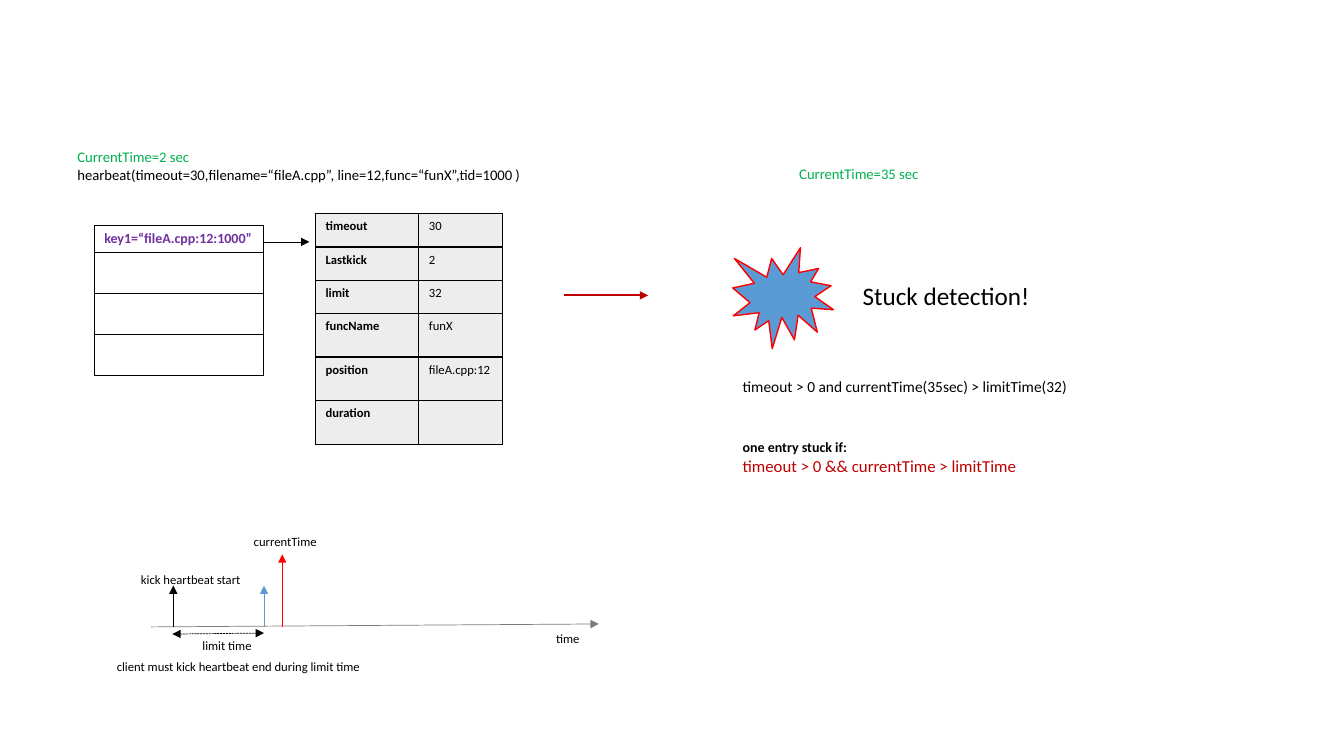
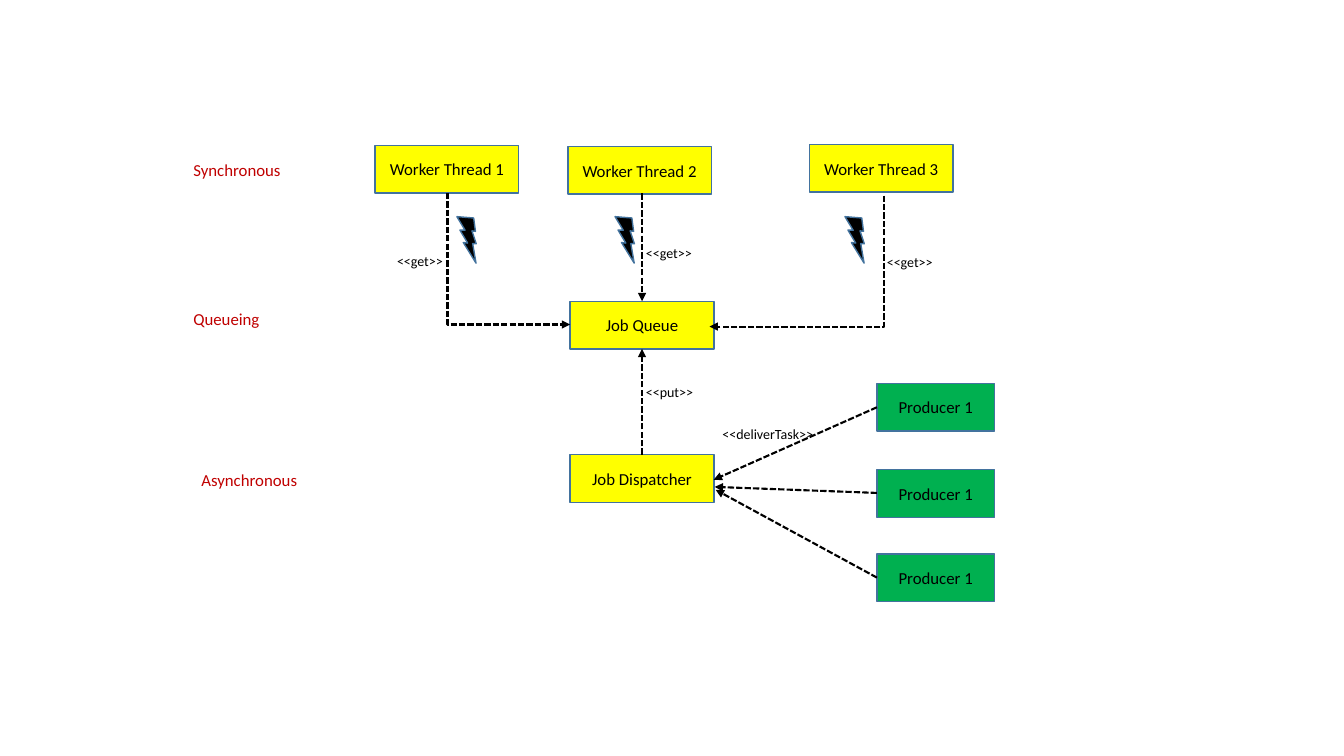
from pptx import Presentation
from pptx.dml.color import RGBColor
from pptx.enum.dml import MSO_LINE
from pptx.enum.shapes import MSO_CONNECTOR, MSO_SHAPE
from pptx.enum.text import MSO_ANCHOR, PP_ALIGN
from pptx.oxml import parse_xml
from pptx.oxml.ns import nsdecls, qn
from pptx.util import Pt

DASH = MSO_LINE.SQUARE_DOT
STRAIGHT, ELBOW = MSO_CONNECTOR.STRAIGHT, MSO_CONNECTOR.ELBOW
RECT, STAR, BOLT = MSO_SHAPE.RECTANGLE, MSO_SHAPE.EXPLOSION1, MSO_SHAPE.LIGHTNING_BOLT
MIDDLE, CENTER = MSO_ANCHOR.MIDDLE, PP_ALIGN.CENTER
BLACK, WHITE, GREY = "000000", "FFFFFF", "E7E6E6"
RED, DARK, BLUE, EDGE = "FF0000", "C00000", "5B9BD5", "43739E"
YELLOW, GREEN, PURPLE, AXIS = "FFFF00", "00B050", "7030A0", "7C7C7C"
BASE = {"name": "Calibri", "bold": False}
hue = RGBColor.from_string


def write(frame, *lines):
    """Each line is (text, size, colour) and optionally a dict of font values."""
    for num, (text, size, color, *more) in enumerate(lines):
        para = frame.add_paragraph() if num else frame.paragraphs[0]
        run = para.add_run()
        run.text = text
        form = {**BASE, "size": Pt(size), **(more[0] if more else {})}
        for key, value in form.items():
            setattr(run.font, key, value)
        run.font.color.rgb = hue(color)


def link(slide, ends, color=BLACK, width=0.5, kind=STRAIGHT, dash=None, both=False):
    """Draw an arrow; an elbow leaves its start vertically."""
    arrow = slide.shapes.add_connector(kind, *map(Pt, ends))
    arrow.line.color.rgb = hue(color)
    arrow.line.width = Pt(width)
    arrow.line.dash_style = dash
    props = arrow.element.spPr
    edge = props.find(qn("a:ln"))
    for tag in ("headEnd", "tailEnd") if both else ("tailEnd",):
        edge.append(parse_xml(f'<a:{tag} {nsdecls("a")} type="triangle"/>'))
    props.append(parse_xml(f'<a:effectLst {nsdecls("a")}/>'))
    if kind == ELBOW:
        bend = f'<a:avLst {nsdecls("a")}><a:gd name="adj1" fmla="val 0"/></a:avLst>'
        shape = props.find(qn("a:prstGeom"))
        for old in shape.findall(qn("a:avLst")):
            shape.remove(old)
        shape.append(parse_xml(bend))


deck = Presentation()
deck.slide_width, deck.slide_height = Pt(960), Pt(540)
blank = deck.slide_layouts[6]
beat = deck.slides.add_slide(blank)
jobs = deck.slides.add_slide(blank)

# Heartbeat tables: place, column widths, row heights, fill, opacity, size, colour, rows
keys = [["key1=“fileA.cpp:12:1000”"], [""], [""], [""]]
entry = [["timeout", "30"], ["Lastkick", "2"], ["limit", "32"],
         ["funcName", "funX"], ["position", "fileA.cpp:12"], ["duration", ""]]
tables = [
    ((67.3, 161), [121], [18.7] + [27.4] * 3, WHITE, 100, 10, PURPLE, keys),
    ((225.4, 152.8), [73.8, 59.8], [23.7] * 3 + [31.2] * 3, GREY, 71, 9, BLACK, entry),
]
for place, wide, high, fill, alpha, size, color, rows in tables:
    area = map(Pt, (*place, sum(wide), sum(high)))
    table = beat.shapes.add_table(len(high), len(wide), *area).table
    table.first_row = table.horz_banding = False
    for col, width in zip(table.columns, wide):
        col.width = Pt(width)
    for row, height, texts in zip(table.rows, high, rows):
        row.height = Pt(height)
        for num, (cell, text) in enumerate(zip(row.cells, texts)):
            props = cell._tc.get_or_add_tcPr()
            for side in "LRTB":
                props.append(parse_xml(
                    f'<a:ln{side} {nsdecls("a")} w="{Pt(1)}"><a:solidFill>'
                    f'<a:srgbClr val="{BLACK}"/></a:solidFill></a:ln{side}>'))
            cell.fill.solid()
            cell.fill.fore_color.rgb = hue(fill)
            tint = props.find(qn("a:solidFill"))[0]
            tint.append(parse_xml(f'<a:alpha {nsdecls("a")} val="{alpha * 1000}"/>'))
            if text:
                write(cell.text_frame, (text, size, color, {"bold": num == 0}))

# Shapes: slide, preset, area, turn, fill, edge, text
shapes = [(beat, STAR, (523.4, 177, 72, 72), 0, BLUE, RED, "")]
boxes = [("Worker Thread 1", 268, 103.9), ("Worker Thread 2", 405.6, 104.7),
         ("Worker Thread 3", 578.2, 103.2), ("Job Queue", 407.3, 215.2),
         ("Job Dispatcher", 407.3, 324.8)]
shapes += [(jobs, RECT, (x, y, 102.6, 34), 0, YELLOW, EDGE, text) for text, x, y in boxes]
shapes += [(jobs, RECT, (626.4, y, 84, 34), 0, GREEN, EDGE, "Producer 1")
           for y in (273.9, 335.5, 395.6)]
shapes += [(jobs, BOLT, (x, 155.5, 28, 27.4), 28.9, BLACK, EDGE, "")
           for x in (320.4, 433.4, 597.6)]
for slide, preset, area, turn, fill, edge, text in shapes:
    shape = slide.shapes.add_shape(preset, *map(Pt, area))
    shape.shadow.inherit = False
    shape.rotation = turn
    shape.fill.solid()
    shape.fill.fore_color.rgb = hue(fill)
    shape.line.color.rgb = hue(edge)
    shape.line.width = Pt(1)
    if text:
        shape.text_frame.vertical_anchor = MIDDLE
        write(shape.text_frame, (text, 12, BLACK))
        shape.text_frame.paragraphs[0].alignment = CENTER

# Heartbeat arrows and timeline
link(beat, (188, 172.8, 221, 172.8))
link(beat, (403.2, 211, 463, 211), DARK, 1.5)
link(beat, (108, 447.8, 427.7, 445.7), AXIS)
for x, top, color in [(123.8, 418.3, BLACK), (188.6, 418.3, BLUE), (201.6, 396, RED)]:
    link(beat, (x, 447.8, x, top), color)
link(beat, (123.1, 452.9, 188.6, 452.2), dash=DASH, both=True)

# Job flow arrows
flows = [
    ((626.4, 290.9, 509.8, 342.7), STRAIGHT),
    ((626.4, 352.1, 510.5, 347.8), STRAIGHT),
    ((626.4, 412.6, 511.2, 349.9), STRAIGHT),
    ((458.6, 324.8, 458.6, 249.2), STRAIGHT),
    ((458.6, 138.2, 458.6, 215.2), STRAIGHT),
    ((319.7, 137.9, 407.3, 231.8), ELBOW),
    ((631.4, 139.7, 506.9, 233.3), ELBOW),
]
for ends, kind in flows:
    link(jobs, ends, width=1.5, kind=kind, dash=DASH)

# Labels: slide, area, lines
labels = [
    (beat, (48.2, 102.2, 339, 32.4), [
        ("CurrentTime=2 sec", 10.5, GREEN),
        ("hearbeat(timeout=30,filename=“fileA.cpp”, line=12,func=“funX”,tid=1000 )",
         10.5, BLACK)]),
    (beat, (563.8, 114.5, 101.5, 20), [("CurrentTime=35 sec", 10.5, GREEN)]),
    (beat, (609.1, 196.6, 135.4, 29), [("Stuck detection!", 18, BLACK)]),
    (beat, (523.4, 265.7, 256.3, 42.5),
     [("timeout > 0 and currentTime(35sec) > limitTime(32)", 11, BLACK)]),
    (beat, (523.4, 309.6, 212.4, 34), [
        ("one entry stuck if:", 10, BLACK, {"bold": True}),
        ("timeout > 0 && currentTime > limitTime", 12, DARK)]),
]
marks = [
    ("limit time", 137.5, 452.2, 50.4), ("time", 390.2, 447.1, 31.7),
    ("currentTime", 174.2, 378, 60.5), ("kick heartbeat start", 93.6, 404.6, 86.4),
    ("client must kick heartbeat end during limit time", 76.3, 467.3, 190.8),
]
labels += [(beat, (x, y, w, 18), [(text, 9, BLACK)]) for text, x, y, w in marks]
calls = [
    ("<<get>>", 276.5, 177.1, 49.7), ("<<get>>", 626.4, 177.8, 49.7),
    ("<<get>>", 454.3, 171.4, 49.7), ("<<put>>", 454.3, 270.7, 50.4),
    ("<<deliverTask>>", 509, 300.2, 84.2),
]
labels += [(jobs, (x, y, w, 19.4), [(text, 10, BLACK)]) for text, x, y, w in calls]
layers = [("Synchronous", 131, 110.9, 77.8), ("Queueing", 131, 216.7, 61.9),
          ("Asynchronous", 136.8, 331.9, 89.3)]
labels += [(jobs, (x, y, w, 21.6), [(text, 12, DARK)]) for text, x, y, w in layers]
for slide, area, lines in labels:
    frame = slide.shapes.add_textbox(*map(Pt, area)).text_frame
    frame.word_wrap = False
    write(frame, *lines)

deck.save("out.pptx")
